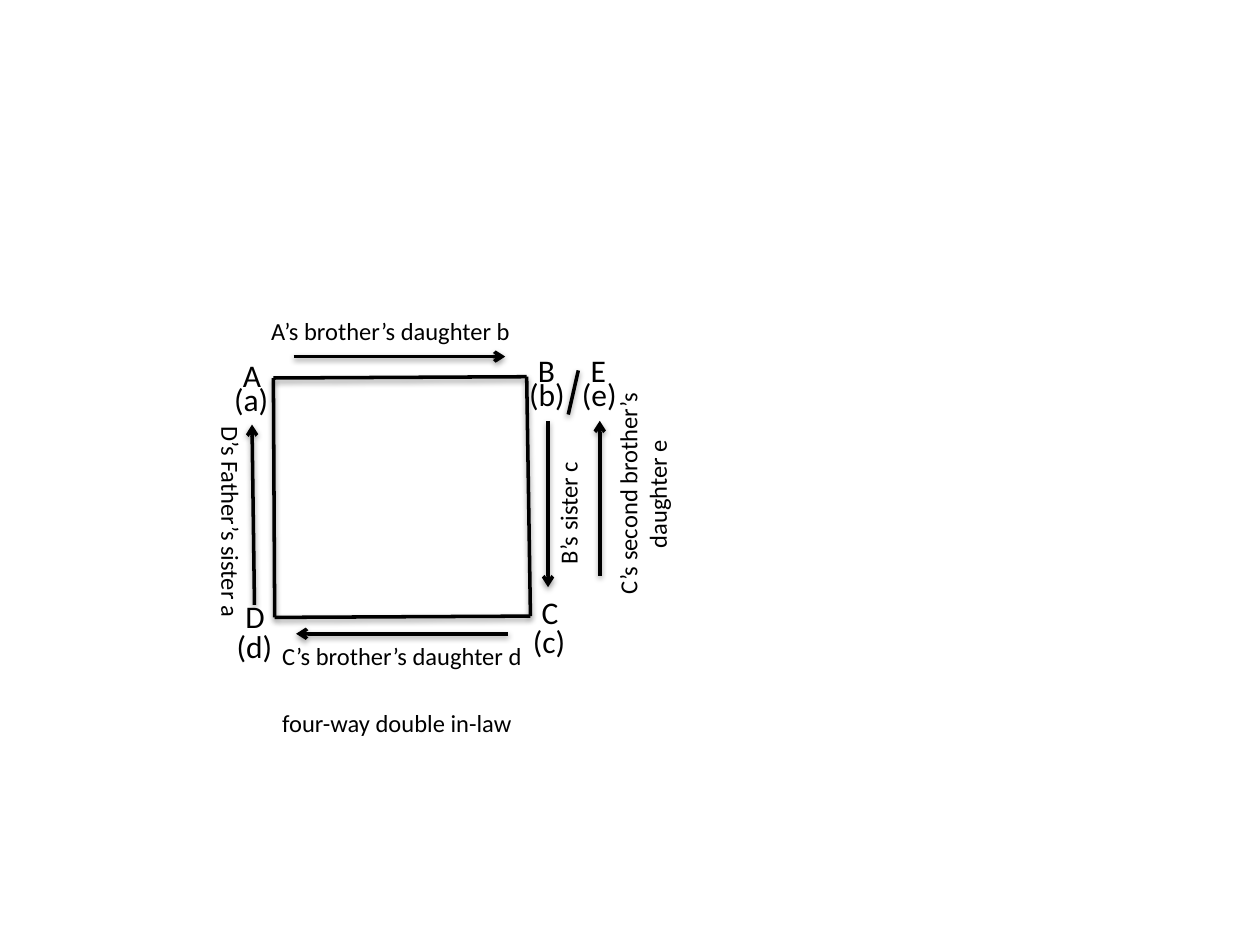
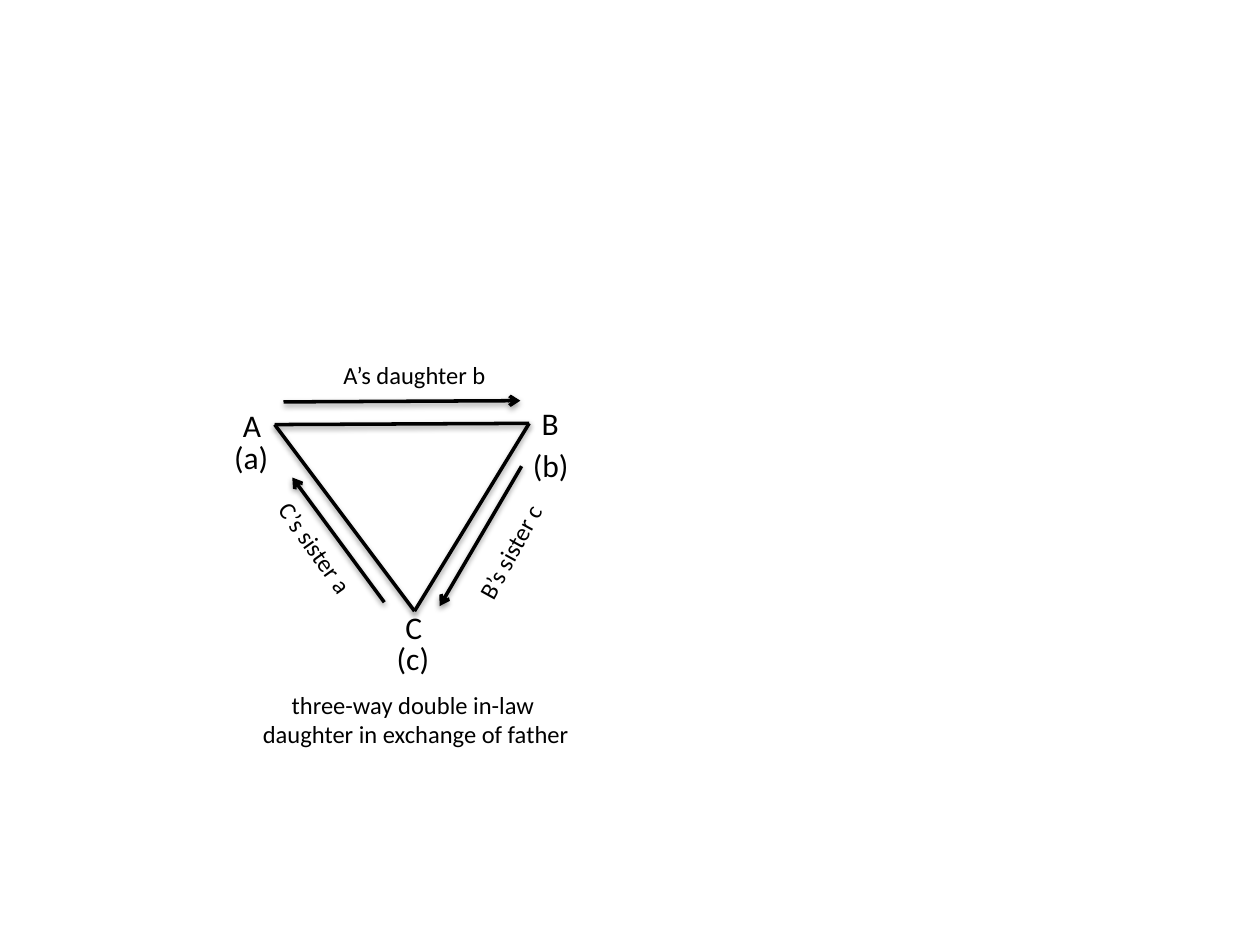
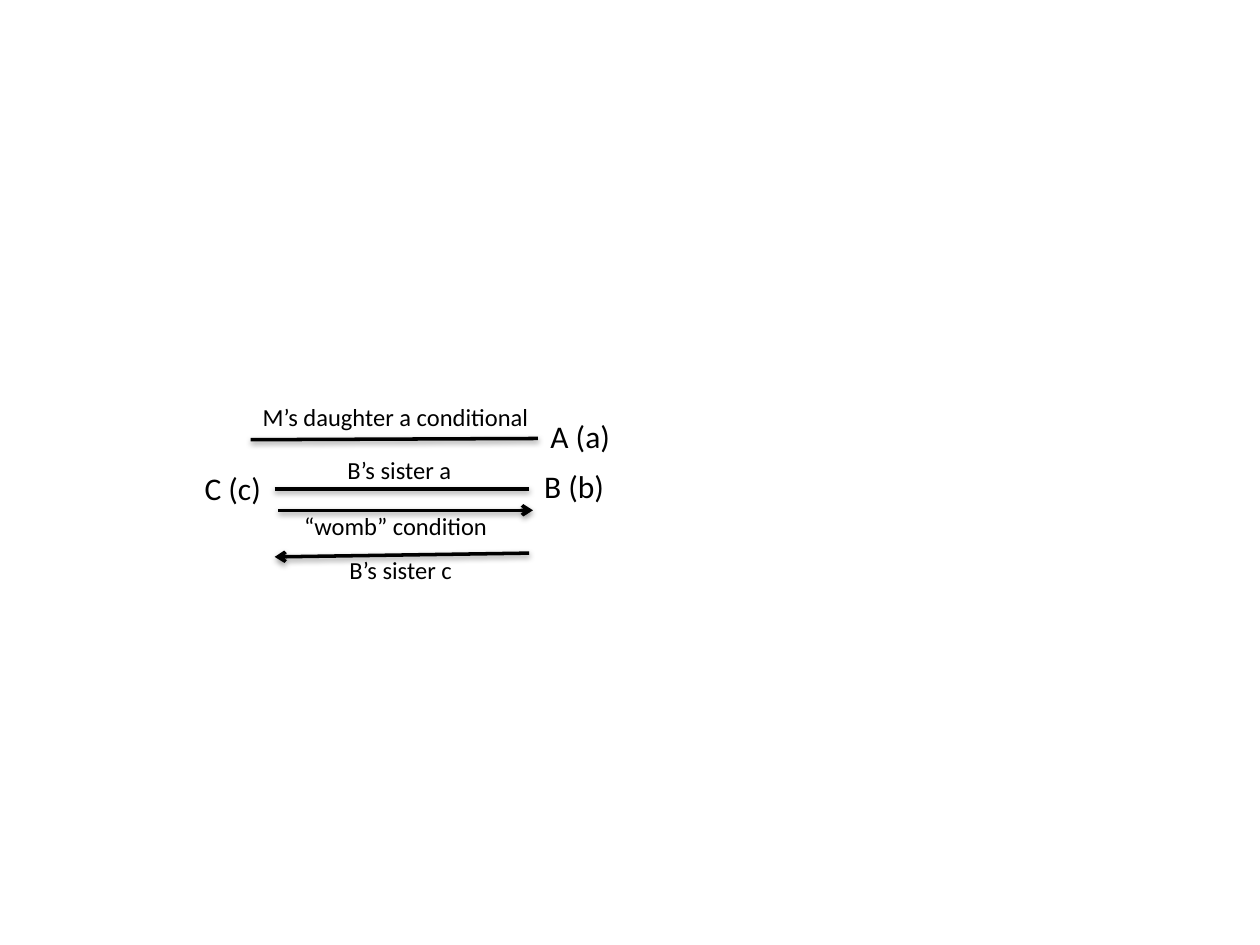
from itertools import pairwise

from lxml.etree import SubElement
from pptx import Presentation
from pptx.dml.color import RGBColor
from pptx.enum.shapes import MSO_CONNECTOR
from pptx.enum.text import MSO_AUTO_SIZE, PP_ALIGN
from pptx.oxml.ns import qn
from pptx.util import Inches, Pt

FONT = "Calibri"
BLACK = "000000"
NAME_SIZE, LABEL_SIZE = 18, 14
NAME_HEIGHT, LABEL_HEIGHT, LINE_STEP = 0.4, 0.34, 0.23
BOX = (1.5, 2.4)  # left and top of every diagram


def color(hex_string):
    return RGBColor.from_string(hex_string)


def add_text(slide, box, center, size, text, font_size, align, rotation=0, wrap=False):
    """Place a text box by its centre, measured from the corner of the box."""
    width, height = size
    left = box[0] + center[0] - width / 2
    top = box[1] + center[1] - height / 2
    shape = slide.shapes.add_textbox(Inches(left), Inches(top), Inches(width), Inches(height))
    shape.rotation = rotation
    frame = shape.text_frame
    frame.word_wrap = wrap
    frame.auto_size = MSO_AUTO_SIZE.SHAPE_TO_FIT_TEXT
    frame.text = text
    for paragraph in frame.paragraphs:
        paragraph.alignment = align
        for run in paragraph.runs:
            run.font.name = FONT
            run.font.size = Pt(font_size)
            run.font.color.rgb = color(BLACK)


def add_name(slide, box, center, text, width):
    add_text(slide, box, center, (width, NAME_HEIGHT), text, NAME_SIZE, PP_ALIGN.LEFT)


def add_couple(slide, box, name, center, gap):
    """A person's letter with the spouse in brackets below."""
    x, y = center
    add_name(slide, box, center, name, 0.34)
    add_name(slide, box, (x, y + gap), f"({name.lower()})", 0.48)


def add_label(slide, box, text, center, width, rotation=0, lines=1, wrap=False):
    size = (width, LABEL_HEIGHT + (lines - 1) * LINE_STEP)
    add_text(slide, box, center, size, text, LABEL_SIZE, PP_ALIGN.CENTER, rotation, wrap)


def add_line(slide, box, start, end, arrow=False):
    left, top = box
    connector = slide.shapes.add_connector(
        MSO_CONNECTOR.STRAIGHT,
        Inches(left + start[0]), Inches(top + start[1]),
        Inches(left + end[0]), Inches(top + end[1]))
    connector.line.color.rgb = color(BLACK)
    connector.line.width = Pt(2)
    properties = connector._element.spPr
    if arrow:
        SubElement(properties.find(qn("a:ln")), qn("a:tailEnd"), type="arrow")
    # Soft shadow straight below the line
    effects = SubElement(properties, qn("a:effectLst"))
    shadow = SubElement(effects, qn("a:outerShdw"), blurRad="40000", dist="20000",
                        dir="5400000", rotWithShape="0")
    shadow_color = SubElement(shadow, qn("a:srgbClr"), val=BLACK)
    SubElement(shadow_color, qn("a:alpha"), val="38000")


def add_outline(slide, box, corners):
    for start, end in pairwise(corners + corners[:1]):
        add_line(slide, box, start, end)


def add_arrows(slide, box, arrows):
    for start, tip in arrows:
        add_line(slide, box, start, tip, arrow=True)


def four_way_diagram(slide, box):
    # Square, and the stroke between B and E
    add_outline(slide, box, [(0.67, 0.6), (2.68, 0.59), (2.71, 2.49), (0.68, 2.5)])
    add_line(slide, box, (3.09, 0.54), (3.01, 0.89))
    # Couples at the corners
    for name, center, gap in [
        ("A", (0.5, 0.58), 0.19), ("B", (2.84, 0.54), 0.19), ("C", (2.87, 2.46), 0.23),
        ("D", (0.52, 2.49), 0.24), ("E", (3.26, 0.54), 0.19),
    ]:
        add_couple(slide, box, name, center, gap)
    # Direction of each marriage
    add_arrows(slide, box, [
        ((0.83, 0.43), (2.51, 0.43)),
        ((2.85, 0.94), (2.85, 2.26)),
        ((2.53, 2.63), (0.85, 2.63)),
        ((0.52, 2.4), (0.5, 0.97)),
        ((3.26, 2.17), (3.26, 0.94)),
    ])
    # Relations and caption
    add_label(slide, box, "A’s brother’s daughter b", (1.6, 0.23), 2.14)
    add_label(slide, box, "B’s sister c", (3.01, 1.67), 1.46, 270, wrap=True)
    add_label(slide, box, "C’s brother’s daughter d", (1.69, 2.81), 2.13)
    add_label(slide, box, "D’s Father’s sister a", (0.33, 1.74), 1.75, 90)
    add_label(slide, box, "C’s second brother’s daughter e", (3.6, 1.52), 1.96, 270,
              lines=2, wrap=True)
    add_label(slide, box, "four-way double in-law", (1.65, 3.34), 2.05)


def three_way_diagram(slide, box):
    # Triangle
    add_outline(slide, box, [(0.68, 0.97), (2.7, 0.96), (1.79, 2.45)])
    # Couples at the corners
    for name, center, gap in [
        ("A", (0.5, 0.97), 0.26), ("B", (2.87, 0.96), 0.33), ("C", (1.79, 2.58), 0.24),
    ]:
        add_couple(slide, box, name, center, gap)
    # Direction of each marriage
    add_arrows(slide, box, [
        ((0.75, 0.79), (2.63, 0.78)),
        ((2.64, 1.3), (1.99, 2.41)),
        ((1.55, 2.38), (0.82, 1.39)),
    ])
    # Relations and caption
    add_label(slide, box, "A’s daughter b", (1.79, 0.58), 1.36)
    add_label(slide, box, "B’s sister c", (2.55, 1.98), 1.04, 298.8)
    add_label(slide, box, "C’s sister a", (1, 1.95), 1.05, 54.5)
    add_label(slide, box, "three-way double in-law \ndaughter in exchange of father",
              (1.8, 3.31), 2.67, lines=2)


def conditional_diagram(slide, box):
    # Couples
    add_name(slide, box, (3.11, 1.06), "A (a)", 0.68)
    add_name(slide, box, (3.06, 1.46), "B (b)", 0.68)
    add_name(slide, box, (0.35, 1.47), "C (c)", 0.65)
    # Bonds, and the exchange below them
    add_line(slide, box, (0.49, 1.09), (2.77, 1.08))
    add_line(slide, box, (0.68, 1.48), (2.7, 1.48))
    add_arrows(slide, box, [
        ((0.71, 1.65), (2.73, 1.65)),
        ((2.7, 1.99), (0.68, 2.02)),
    ])
    # Relations
    add_label(slide, box, "M’s daughter a conditional", (1.64, 0.91), 2.34)
    add_label(slide, box, "B’s sister a", (1.67, 1.33), 1.05)
    add_label(slide, box, "“womb” condition", (1.64, 1.78), 1.67)
    add_label(slide, box, "B’s sister c", (1.68, 2.13), 1.04)


presentation = Presentation()
presentation.slide_width = Inches(10)
presentation.slide_height = Inches(7.5)
blank_layout = presentation.slide_layouts[6]
for draw_diagram in (four_way_diagram, three_way_diagram, conditional_diagram):
    draw_diagram(presentation.slides.add_slide(blank_layout), BOX)
presentation.save("out.pptx")
